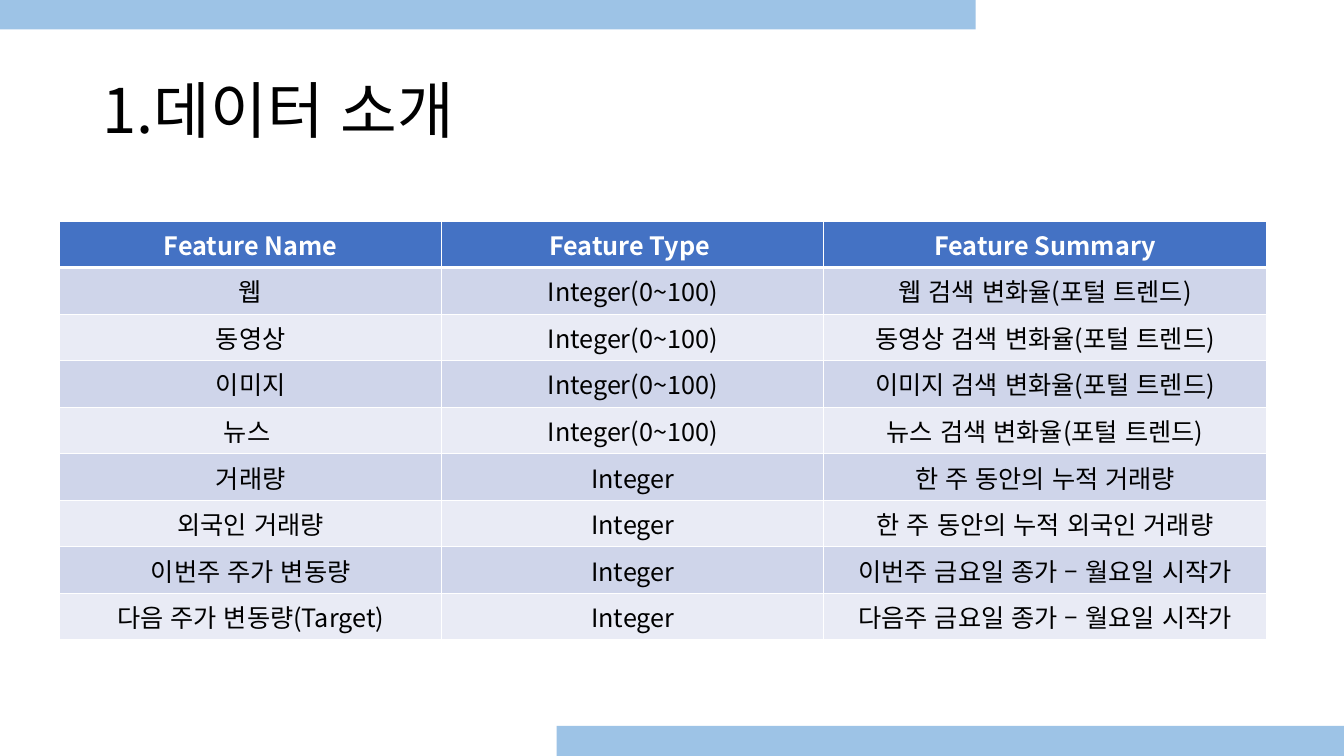
from typing import NamedTuple

from pptx import Presentation
from pptx.dml.color import RGBColor
from pptx.enum.lang import MSO_LANGUAGE_ID
from pptx.enum.shapes import MSO_SHAPE
from pptx.enum.text import MSO_ANCHOR, PP_ALIGN
from pptx.oxml import parse_xml
from pptx.oxml.ns import nsdecls
from pptx.slide import Slide
from pptx.table import _Cell
from pptx.text.text import _Paragraph
from pptx.util import Cm, Pt

FONT = "Noto Sans CJK KR"
BLACK = RGBColor(0x00, 0x00, 0x00)
WHITE = RGBColor(0xFF, 0xFF, 0xFF)
SKY = RGBColor(0x9D, 0xC3, 0xE6)
BLUE = RGBColor(0x44, 0x72, 0xC4)
DARK = RGBColor(0xCF, 0xD5, 0xEA)
LIGHT = RGBColor(0xE9, 0xEB, 0xF5)


class Box(NamedTuple):
    """Left, top, width and height in centimetres."""
    left: float
    top: float
    width: float
    height: float

    def place(self) -> list[Cm]:
        return [Cm(side) for side in self]


class Feature(NamedTuple):
    name: str
    kind: str
    note: str


TITLE = Box(2.33, 1.02, 29.21, 3.68)
GRID = Box(1.5, 5.57, 30.41, 10.56)
BARS = [Box(-0.38, 0, 24.97, 0.74), Box(14.03, 18.29, 20.07, 0.89)]
COLS = [9.63, 9.63, 11.15]

SCALE = "Integer(0~100)"
HEAD = Feature("Feature Name", "Feature Type ", "Feature Summary")
TRENDS = [
    Feature(name, SCALE, f"{name.strip()} 검색 변화율(포털 트렌드)")
    for name in ["웹", "동영상", "이미지", "뉴스 "]
]
TRADES = [
    Feature("거래량", "Integer", "한 주 동안의 누적 거래량"),
    Feature("외국인 거래량", "Integer", "한 주 동안의 누적 외국인 거래량"),
    Feature("이번주 주가 변동량", "Integer", "이번주 금요일 종가 – 월요일 시작가"),
    Feature("다음 주가 변동량(Target)", "Integer", "다음주 금요일 종가 – 월요일 시작가"),
]


def add_run(para: _Paragraph, text: str, size: int, color: RGBColor,
            bold: bool = False) -> None:
    run = para.add_run()
    run.text = text
    font = run.font
    font.name, font.size, font.bold = FONT, Pt(size), bold
    font.color.rgb = color
    font.language_id = MSO_LANGUAGE_ID.KOREAN


def add_title(slide: Slide, text: str) -> None:
    frame = slide.shapes.add_textbox(*TITLE.place()).text_frame
    frame.word_wrap = True
    frame.vertical_anchor = MSO_ANCHOR.MIDDLE
    para = frame.paragraphs[0]
    para.line_spacing = 0.9
    add_run(para, text, 44, BLACK)


def add_bar(slide: Slide, box: Box) -> None:
    bar = slide.shapes.add_shape(MSO_SHAPE.RECTANGLE, *box.place())
    bar.shadow.inherit = False
    bar.fill.solid()
    bar.fill.fore_color.rgb = SKY
    bar.line.fill.background()


def set_edges(cell: _Cell, top: int, bottom: int) -> None:
    """Draw white borders; top and bottom widths are in points."""
    props = cell._tc.get_or_add_tcPr()
    widths = {"L": 1, "R": 1, "T": top, "B": bottom}
    for spot, (side, width) in enumerate(widths.items()):
        props.insert(spot, parse_xml(
            f'<a:ln{side} {nsdecls("a")} w="{Pt(width)}"><a:solidFill>'
            f'<a:srgbClr val="{WHITE}"/></a:solidFill></a:ln{side}>'))


def fill_cell(cell: _Cell, text: str, row: int) -> None:
    head = row == 0
    cell.fill.solid()
    cell.fill.fore_color.rgb = BLUE if head else DARK if row % 2 else LIGHT
    set_edges(cell, 3 if row == 1 else 1, 3 if head else 1)
    para = cell.text_frame.paragraphs[0]
    para.alignment = PP_ALIGN.CENTER
    add_run(para, text, 18, WHITE if head else BLACK, head)


def add_grid(slide: Slide, rows: list[Feature]) -> None:
    frame = slide.shapes.add_table(len(rows), len(COLS), *GRID.place())
    table = frame.table
    for col, width in zip(table.columns, COLS):
        col.width = Cm(width)
    for r, row in enumerate(rows):
        table.rows[r].height = Cm(GRID.height / len(rows))
        for c, text in enumerate(row):
            fill_cell(table.cell(r, c), text, r)


def main() -> None:
    deck = Presentation()
    deck.slide_width, deck.slide_height = Cm(33.87), Cm(19.05)
    slide = deck.slides.add_slide(deck.slide_layouts[6])
    add_title(slide, "1.데이터 소개")
    add_grid(slide, [HEAD, *TRENDS, *TRADES])
    for box in BARS:
        add_bar(slide, box)
    deck.save("out.pptx")


if __name__ == "__main__":
    main()
